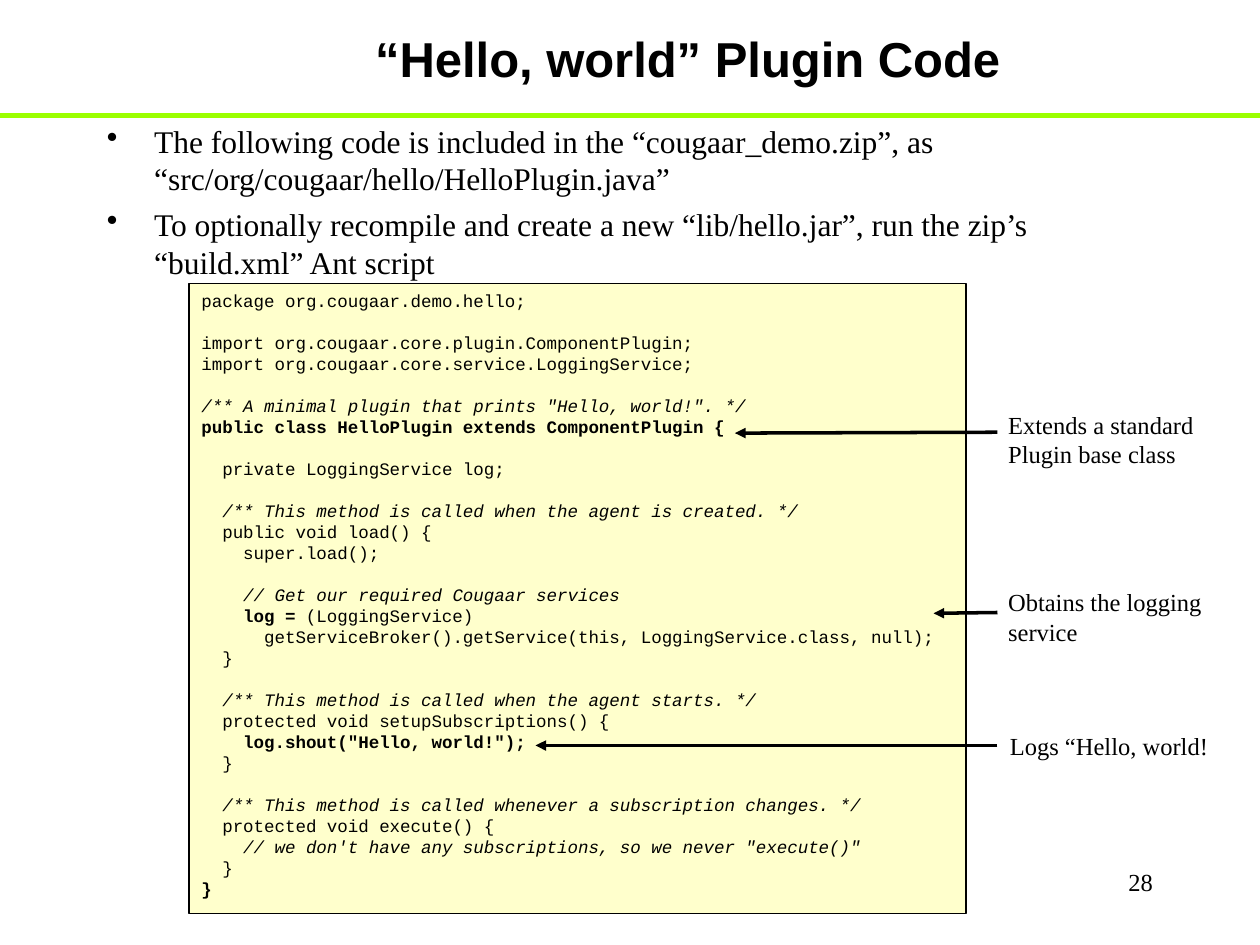
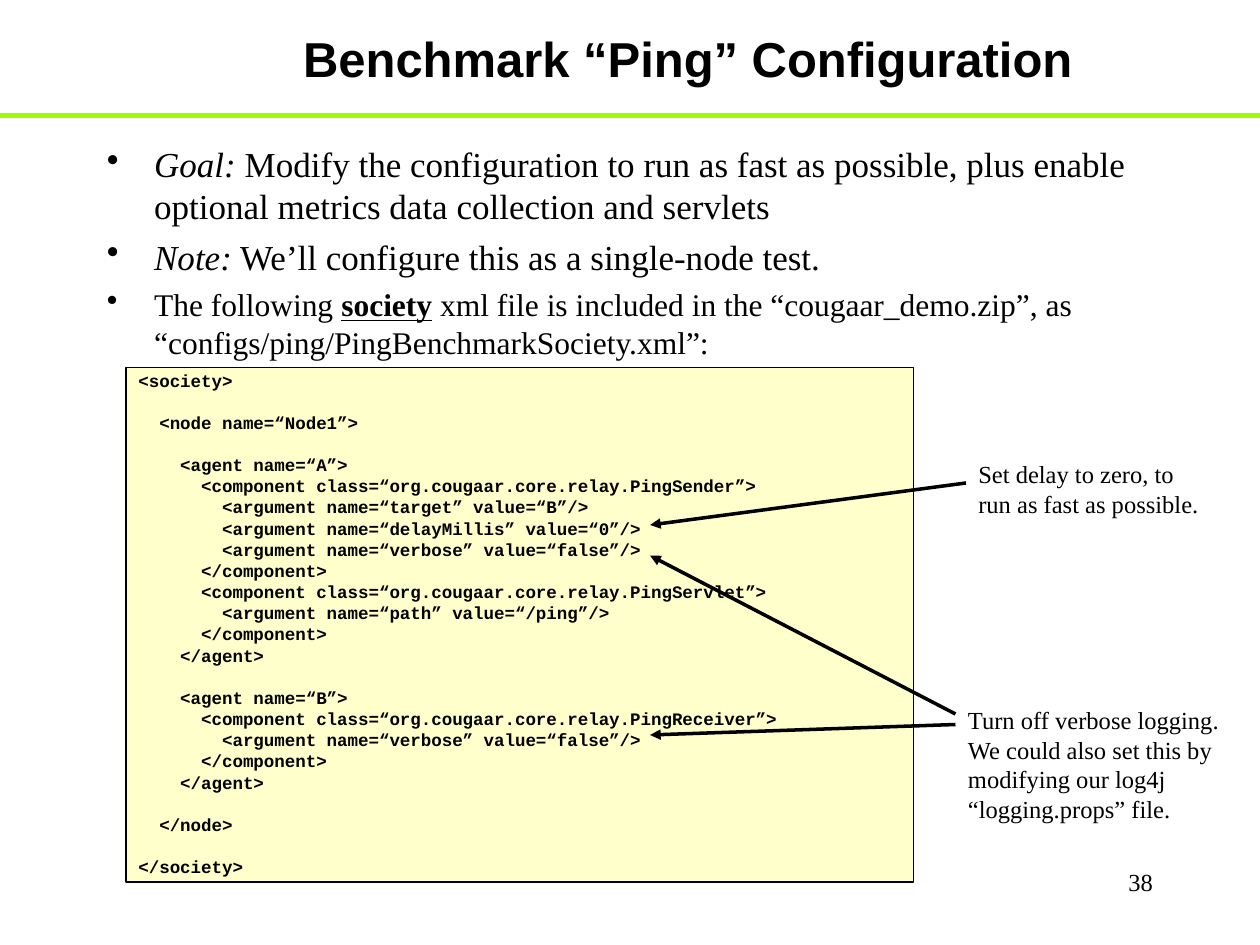
"""Build two slides that explain plugin code and a benchmark configuration."""
import lxml.etree
import pptx
import pptx.dml.color
import pptx.enum.shapes
import pptx.enum.text
import pptx.oxml.ns
import pptx.util

Pt = pptx.util.Pt
RGBColor = pptx.dml.color.RGBColor
ALIGN = pptx.enum.text.PP_ALIGN
ANCHOR = pptx.enum.text.MSO_ANCHOR

BLACK = RGBColor(0x00, 0x00, 0x00)
GREEN = RGBColor(0x9B, 0xFF, 0x00)
CREAM = RGBColor(0xFF, 0xFF, 0xCC)
TITLE_FONT, BODY_FONT, CODE_FONT = "Arial", "Times New Roman", "Courier New"
SLIDE_WIDTH, SLIDE_HEIGHT = 720, 540
TITLE_BOX = (78, 0, 630, 66)
NUMBER_BOX = (516, 492, 150, 36)
RULE_TOP = 66
BULLET_INDENT = 27
CODE_LINE = 12

PLUGIN_CODE = [
    "package org.cougaar.demo.hello;",
    "",
    "import org.cougaar.core.plugin.ComponentPlugin;",
    "import org.cougaar.core.service.LoggingService;",
    "",
    [('/** A minimal plugin that prints "Hello, world!". */', "i")],
    [("public class HelloPlugin extends ComponentPlugin {", "b")],
    "",
    "  private LoggingService log;",
    "",
    [("  /** This method is called when the agent is created. */", "i")],
    "  public void load() {",
    "    super.load();",
    "",
    [("    // Get our required Cougaar services", "i")],
    [("    log =", "b"), (" (LoggingService)", "")],
    "      getServiceBroker().getService(this, LoggingService.class, null);",
    "  }",
    "",
    [("  /** This method is called when the agent starts. */", "i")],
    "  protected void setupSubscriptions() {",
    [('    log.shout("Hello, world!");', "b")],
    "  }",
    "",
    [("  /** This method is called whenever a subscription changes. */", "i")],
    "  protected void execute() {",
    [('    // we don\'t have any subscriptions, so we never "execute()"', "i")],
    "  }",
    [("}", "b")],
]

SOCIETY_CODE = """<society>

  <node name=“Node1”>

    <agent name=“A”>
      <component class=“org.cougaar.core.relay.PingSender”>
        <argument name=“target” value=“B”/>
        <argument name=“delayMillis” value=“0”/>
        <argument name=“verbose” value=“false”/>
      </component>
      <component class=“org.cougaar.core.relay.PingServlet”>
        <argument name=“path” value=“/ping”/>
      </component>
    </agent>

    <agent name=“B”>
      <component class=“org.cougaar.core.relay.PingReceiver”>
        <argument name=“verbose” value=“false”/>
      </component>
    </agent>

  </node>

</society>""".splitlines()

SLIDES = [
    {
        "title": "“Hello, world” Plugin Code",
        "number": "28",
        "body_box": (54, 66, 612, 372),
        "bullets": [
            (18, "The following code is included in the “cougaar_demo.zip”, as "
                 "“src/org/cougaar/hello/HelloPlugin.java”"),
            (18, "To optionally recompile and create a new “lib/hello.jar”, "
                 "run the zip’s “build.xml” Ant script"),
        ],
        "code_box": (108, 162, 444, 360),
        "code": PLUGIN_CODE,
        "code_format": {},
        "code_gap": 0,
        "notes": [
            ((569, 230.5, 151, 41), ["Extends a standard Plugin base class"]),
            ((569, 332, 133, 41), ["Obtains the logging service"]),
            ((570, 414, 150, 24.5), ["Logs “Hello, world!"]),
        ],
        "arrows": [(570, 247, 420, 247.5), (570, 350, 533.5, 350.5),
                   (570, 426, 306, 426)],
    },
    {
        "title": "Benchmark “Ping” Configuration",
        "number": "38",
        "body_box": (54, 78, 642, 420),
        "bullets": [
            (20, [("Goal: ", "i"),
                  ("Modify the configuration to run as fast as possible, plus "
                   "enable optional metrics data collection and servlets", "")]),
            (20, [("Note:", "i"),
                  (" We’ll configure this as a single-node test.", "")]),
            (18, [("The following ", ""), ("society", "bu"),
                  (" xml file is included in the “cougaar_demo.zip”, as "
                   "“configs/ping/PingBenchmarkSociety.xml”:", "")]),
        ],
        "code_box": (72, 210, 450, 294),
        "code": SOCIETY_CODE,
        "code_format": {"style": "b", "line_spacing": 0.8},
        "code_gap": 2.5,
        "notes": [
            ((552, 259, 144, 41), ["Set delay to zero, to run as fast as possible."]),
            ((546, 399.5, 162, 75),
             ["Turn off verbose logging.",
              "We could also set this by modifying our log4j “logging.props” file."]),
        ],
        "arrows": [(552, 276, 371.5, 300), (546, 408, 371.5, 317.5),
                   (546, 414, 371.5, 420)],
    },
]


def points(values):
    """Convert plain numbers to lengths in points."""
    return [Pt(value) for value in values]


def add_element(parent, tag, **attributes):
    """Append a drawing element to a parent."""
    element = lxml.etree.SubElement(parent, pptx.oxml.ns.qn(tag))
    for name, value in attributes.items():
        element.set(name, value)


def add_text(frame, text, font=BODY_FONT, size=14, style="", align=ALIGN.LEFT,
             before=0, line_spacing=None, bullet=False):
    """Add one paragraph given as a string or as styled runs."""
    first = not frame.text
    paragraph = frame.paragraphs[0] if first else frame.add_paragraph()
    if bullet:
        properties = paragraph._p.get_or_add_pPr()
        properties.set("marL", str(Pt(BULLET_INDENT)))
        properties.set("indent", str(-Pt(BULLET_INDENT)))
        add_element(properties, "a:buChar", char="•")
    paragraph.alignment = align
    paragraph.space_before = Pt(0 if first else before)
    if line_spacing:
        paragraph.line_spacing = line_spacing
    runs = [(text, style)] if isinstance(text, str) else text
    for words, run_style in runs:
        run = paragraph.add_run()
        run.text = words
        run.font.name = font
        run.font.size = Pt(size)
        run.font.color.rgb = BLACK
        run.font.bold = "b" in run_style
        run.font.italic = "i" in run_style
        run.font.underline = "u" in run_style


def set_frame(shape, anchor=ANCHOR.TOP):
    """Make the text of a shape wrap and return its frame."""
    frame = shape.text_frame
    frame.auto_size = pptx.enum.text.MSO_AUTO_SIZE.NONE
    frame.word_wrap = True
    frame.vertical_anchor = anchor
    return frame


def add_box(slide, box):
    """Add a text box and return its frame."""
    return set_frame(slide.shapes.add_textbox(*points(box)))


def add_line(slide, ends, color=BLACK, width=2, arrow=False):
    """Add a straight line, with an arrowhead at its end if asked."""
    line = slide.shapes.add_connector(
        pptx.enum.shapes.MSO_CONNECTOR.STRAIGHT, *points(ends))
    line.line.color.rgb = color
    line.line.width = Pt(width)
    if arrow:
        add_element(line.line._get_or_add_ln(), "a:tailEnd", type="triangle")
    add_element(line._element.spPr, "a:effectLst")


def add_title(slide, text):
    """Place and fill the title above the green rule."""
    add_line(slide, (SLIDE_WIDTH, RULE_TOP, 0, RULE_TOP), color=GREEN, width=3)
    title = slide.shapes.title
    title.left, title.top, title.width, title.height = points(TITLE_BOX)
    add_text(set_frame(title, ANCHOR.MIDDLE), text, font=TITLE_FONT, size=28,
             style="b", align=ALIGN.CENTER)


def add_code(slide, box, lines, gap, code_format):
    """Add the code panel, with each empty line turned into space."""
    panel = slide.shapes.add_shape(
        pptx.enum.shapes.MSO_SHAPE.RECTANGLE, *points(box))
    panel.shadow.inherit = False
    panel.fill.solid()
    panel.fill.fore_color.rgb = CREAM
    panel.line.color.rgb = BLACK
    panel.line.width = Pt(0.75)
    frame = set_frame(panel)
    before = gap
    for line in lines:
        if line:
            add_text(frame, line, font=CODE_FONT, size=10, before=before,
                     **code_format)
            before = gap
        else:
            before += CODE_LINE


def build_slide(presentation, content):
    """Build one slide from its content."""
    slide = presentation.slides.add_slide(presentation.slide_layouts[5])
    add_title(slide, content["title"])
    body = add_box(slide, content["body_box"])
    for size, text in content["bullets"]:
        add_text(body, text, size=size, before=size / 4, bullet=True)
    add_code(slide, content["code_box"], content["code"], content["code_gap"],
             content["code_format"])
    for box, note in content["notes"]:
        frame = add_box(slide, box)
        for text in note:
            add_text(frame, text)
    for ends in content["arrows"]:
        add_line(slide, ends, arrow=True)
    add_text(add_box(slide, NUMBER_BOX), content["number"], align=ALIGN.RIGHT)


def main():
    """Build and save the presentation."""
    presentation = pptx.Presentation()
    presentation.slide_width = Pt(SLIDE_WIDTH)
    presentation.slide_height = Pt(SLIDE_HEIGHT)
    for content in SLIDES:
        build_slide(presentation, content)
    presentation.save("out.pptx")


if __name__ == "__main__":
    main()
